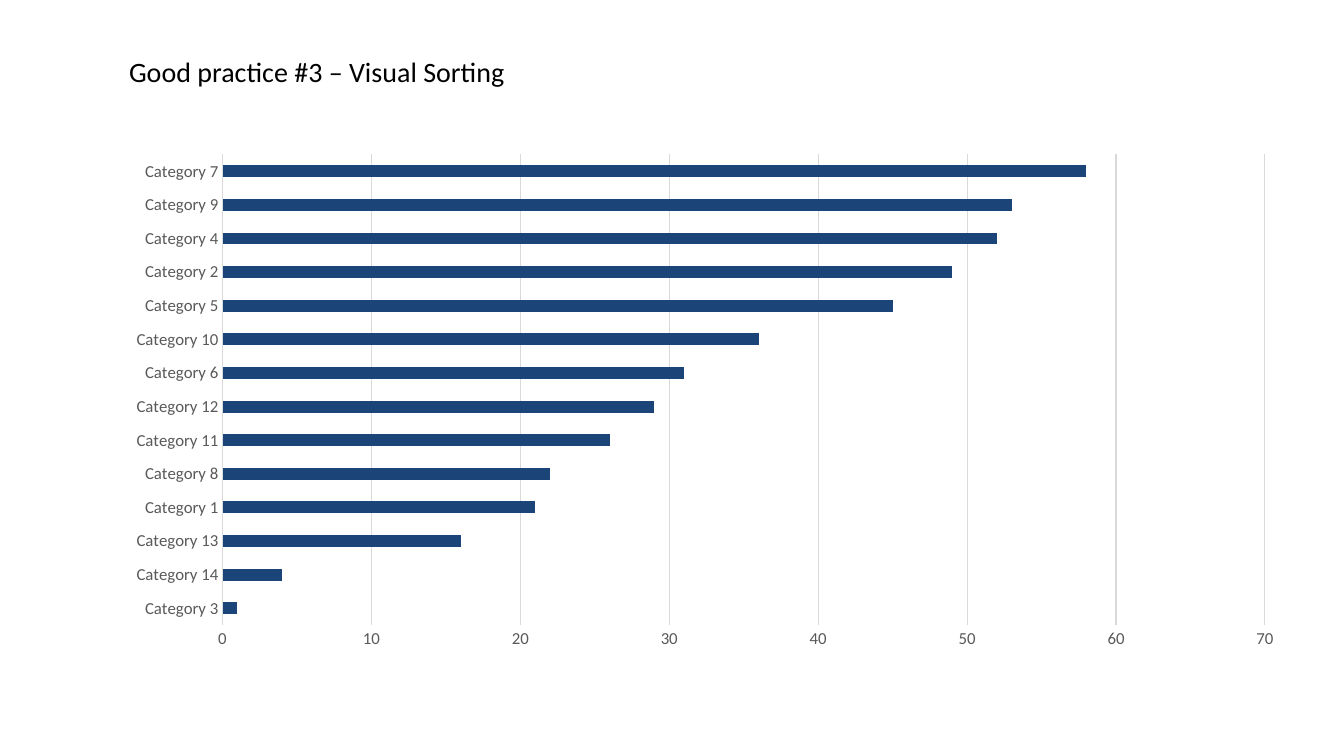
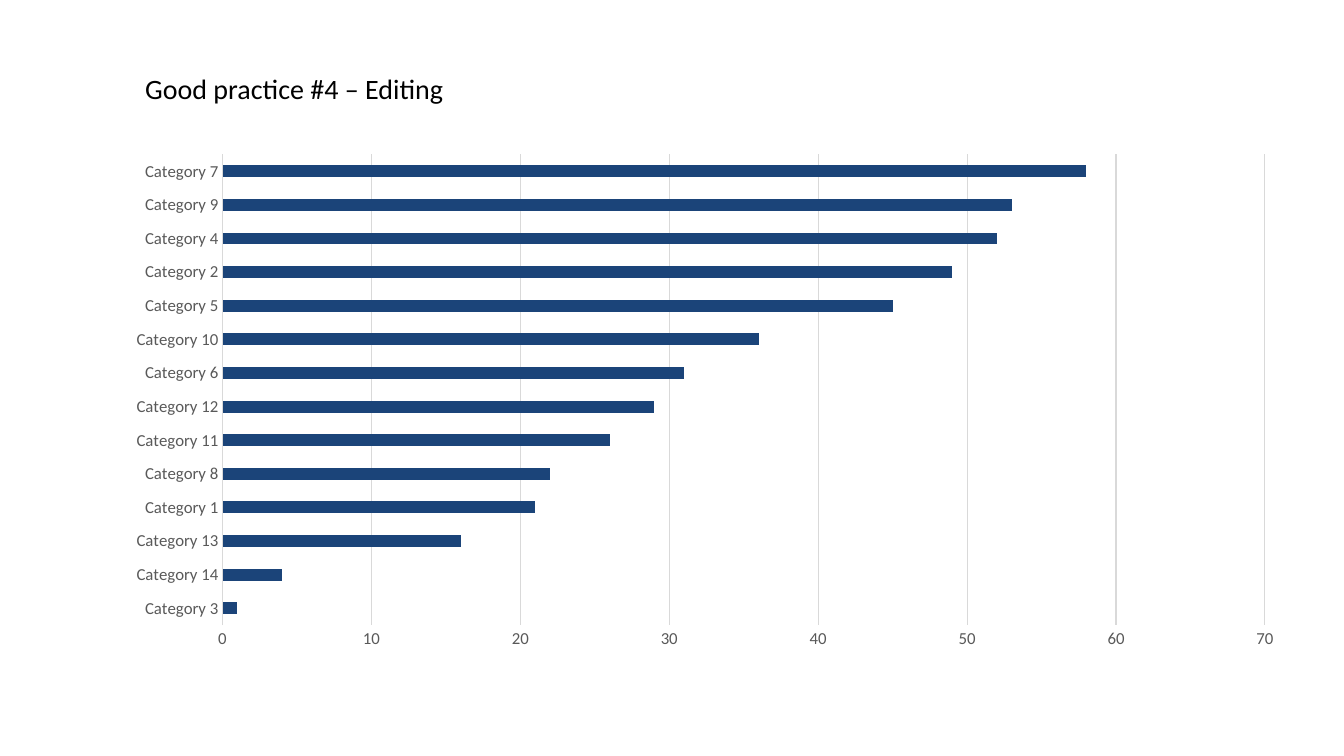
from dataclasses import dataclass

from pptx import Presentation
from pptx.chart.axis import CategoryAxis, ValueAxis
from pptx.chart.data import CategoryChartData
from pptx.dml.color import RGBColor
from pptx.enum.chart import XL_CHART_TYPE, XL_TICK_MARK
from pptx.enum.text import MSO_ANCHOR, MSO_AUTO_SIZE, PP_ALIGN
from pptx.shapes.autoshape import Shape
from pptx.slide import Slide
from pptx.text.text import Font
from pptx.util import Pt


@dataclass(frozen=True)
class Theme:
    font: str = "Calibri"
    text: RGBColor = RGBColor(0x00, 0x00, 0x00)
    axis_text: RGBColor = RGBColor(0x59, 0x59, 0x59)
    grid: RGBColor = RGBColor(0xD9, 0xD9, 0xD9)
    bar: RGBColor = RGBColor(0x1B, 0x44, 0x79)
    title_size: float = 20
    axis_size: float = 12
    chart_size: float = 10
    line_width: float = 0.75


@dataclass(frozen=True)
class Box:
    left: float
    top: float
    width: float
    height: float


@dataclass(frozen=True)
class PracticeSlide:
    title: str
    title_left: float
    title_top: float


THEME = Theme()
TITLE_ONLY_LAYOUT = 5
TITLE_WIDTH, TITLE_HEIGHT = 319, 27.4
CHART_BOX = Box(80.6, 103, 846, 368)

PRACTICE_SLIDES = [
    PracticeSlide("Good practice #3 – Visual Sorting", 92.2, 38.9),
    PracticeSlide("Good practice #4 – Editing", 103.7, 51.1),
]

# Category number to value, from the bottom bar to the top one
CATEGORY_VALUES = {
    3: 1, 14: 4, 13: 16, 1: 21, 8: 22, 11: 26, 12: 29,
    6: 31, 10: 36, 5: 45, 2: 49, 4: 52, 9: 53, 7: 58,
}


def format_font(font: Font, size: float, color: RGBColor) -> None:
    font.name = THEME.font
    font.size = Pt(size)
    font.bold = False
    font.color.rgb = color


def write_text(shape: Shape, text: str, *, size: float, color: RGBColor,
               alignment: PP_ALIGN = PP_ALIGN.LEFT,
               anchor: MSO_ANCHOR = MSO_ANCHOR.MIDDLE,
               line_spacing: float = 0.9) -> None:
    """Put one paragraph into the shape, without margins or autofit."""
    frame = shape.text_frame
    frame.word_wrap = True
    frame.auto_size = MSO_AUTO_SIZE.NONE
    frame.vertical_anchor = anchor
    frame.margin_left = frame.margin_right = Pt(0)
    frame.margin_top = frame.margin_bottom = Pt(0)
    paragraph = frame.paragraphs[0]
    paragraph.alignment = alignment
    paragraph.line_spacing = line_spacing
    run = paragraph.add_run()
    run.text = text
    format_font(run.font, size, color)


def place(shape: Shape, box: Box) -> None:
    shape.left, shape.top = Pt(box.left), Pt(box.top)
    shape.width, shape.height = Pt(box.width), Pt(box.height)


def format_axis(axis: CategoryAxis | ValueAxis) -> None:
    axis.major_tick_mark = XL_TICK_MARK.NONE
    axis.minor_tick_mark = XL_TICK_MARK.NONE
    format_font(axis.tick_labels.font, THEME.axis_size, THEME.axis_text)


def add_sorted_bar_chart(slide: Slide, box: Box) -> None:
    chart_data = CategoryChartData()
    chart_data.categories = [f"Category {number}" for number in CATEGORY_VALUES]
    chart_data.add_series("Series 1", CATEGORY_VALUES.values())
    chart = slide.shapes.add_chart(
        XL_CHART_TYPE.BAR_CLUSTERED, Pt(box.left), Pt(box.top),
        Pt(box.width), Pt(box.height), chart_data).chart
    chart.has_title = False
    chart.has_legend = False
    format_font(chart.font, THEME.chart_size, THEME.text)

    plot = chart.plots[0]
    plot.gap_width = 182
    plot.vary_by_categories = False
    bar_fill = plot.series[0].format.fill
    bar_fill.solid()
    bar_fill.fore_color.rgb = THEME.bar

    category_axis, value_axis = chart.category_axis, chart.value_axis
    for axis in (category_axis, value_axis):
        format_axis(axis)
    value_axis.minimum_scale, value_axis.maximum_scale = 0, 70
    value_axis.major_unit = 10
    value_axis.has_major_gridlines = True
    value_axis.format.line.fill.background()
    for line in (category_axis.format.line, value_axis.major_gridlines.format.line):
        line.color.rgb = THEME.grid
        line.width = Pt(THEME.line_width)


def add_practice_slide(presentation: Presentation, practice: PracticeSlide) -> None:
    slide = presentation.slides.add_slide(
        presentation.slide_layouts[TITLE_ONLY_LAYOUT])
    add_sorted_bar_chart(slide, CHART_BOX)
    title = slide.shapes.title
    place(title, Box(practice.title_left, practice.title_top,
                     TITLE_WIDTH, TITLE_HEIGHT))
    write_text(title, practice.title, size=THEME.title_size, color=THEME.text)


def main() -> None:
    presentation = Presentation()
    presentation.slide_width, presentation.slide_height = Pt(960), Pt(540)
    for practice in PRACTICE_SLIDES:
        add_practice_slide(presentation, practice)
    presentation.save("out.pptx")


if __name__ == "__main__":
    main()
